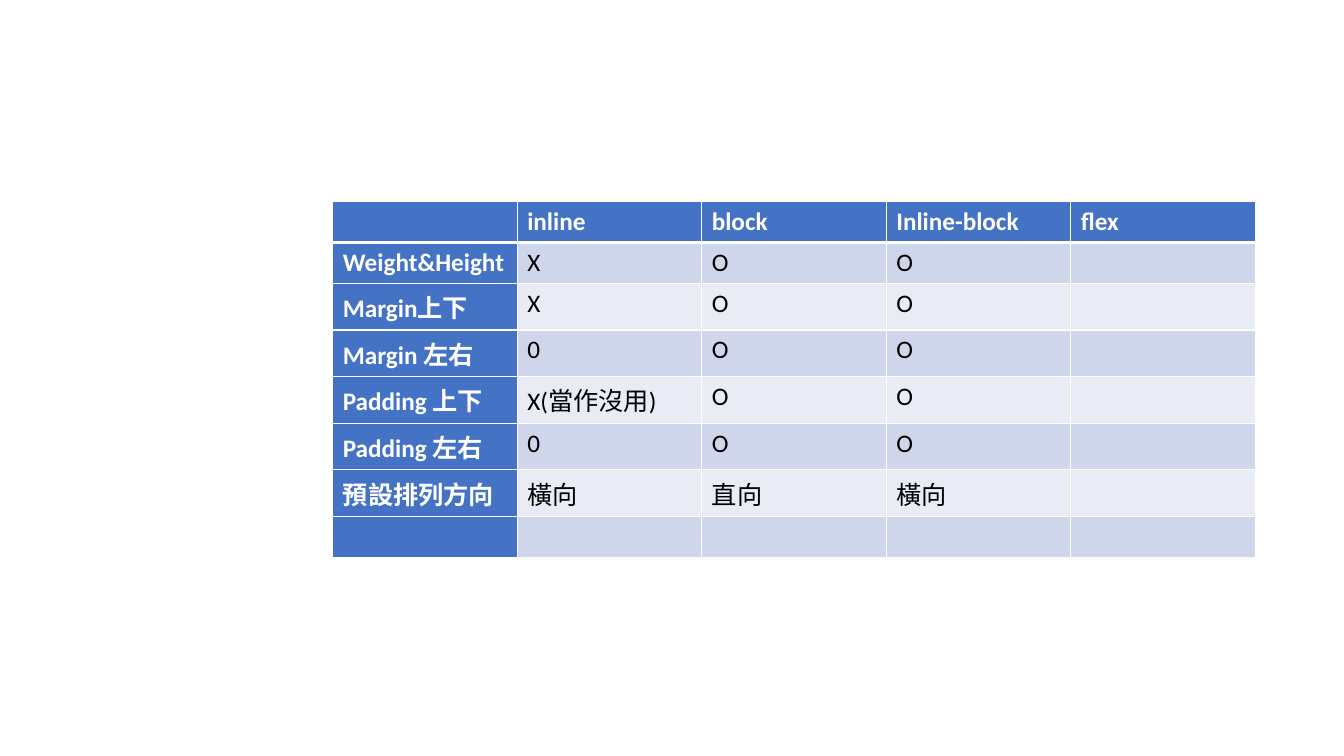
"""Build a slide with a table comparing CSS display modes."""
import pptx
import pptx.dml.color
import pptx.oxml
import pptx.oxml.ns
import pptx.util

DISPLAY_MODES = [
    ("", "inline", "block", "Inline-block", "flex"),
    ("Weight&Height", "X", "O", "O", ""),
    ("Margin上下", "X", "O", "O", ""),
    ("Margin 左右", "0", "O", "O", ""),
    ("Padding 上下", "X(當作沒用)", "O", "O", ""),
    ("Padding 左右", "0", "O", "O", ""),
    ("預設排列方向", "橫向", "直向", "橫向", ""),
    ("", "", "", "", ""),
]
COLORS = {"heading": "4472C4", "odd": "CFD5EA", "even": "E9EBF5",
          "light": "FFFFFF", "dark": "000000"}
SLIDE_SIZE = (13.33, 7.5)
TABLE_BOX = (3.3, 2, 9.15, 3.24)
THIN, THICK = 1, 3


def write(cell, text, size=18, font="Calibri", color="dark", bold=False):
    paragraph = cell.text_frame.paragraphs[0]
    paragraph.font.size = pptx.util.Pt(size)
    if text:
        run = paragraph.add_run()
        run.text = text
        run.font.size = pptx.util.Pt(size)
        run.font.name = font
        run.font.bold = bold
        run.font.color.rgb = pptx.dml.color.RGBColor.from_string(COLORS[color])


def paint(cell, fill, top, bottom):
    cell.fill.solid()
    cell.fill.fore_color.rgb = pptx.dml.color.RGBColor.from_string(COLORS[fill])
    properties = cell._tc.get_or_add_tcPr()
    edges = {"L": THIN, "R": THIN, "T": top, "B": bottom}
    for position, (side, width) in enumerate(edges.items()):
        properties.insert(position, pptx.oxml.parse_xml(
            f'<a:ln{side} {pptx.oxml.ns.nsdecls("a")} w="{pptx.util.Pt(width)}">'
            f'<a:solidFill><a:srgbClr val="{COLORS["light"]}"/></a:solidFill>'
            f'</a:ln{side}>'))


def main():
    deck = pptx.Presentation()
    deck.slide_width, deck.slide_height = map(pptx.util.Inches, SLIDE_SIZE)
    slide = deck.slides.add_slide(deck.slide_layouts.get_by_name("Blank"))
    row_count, column_count = len(DISPLAY_MODES), len(DISPLAY_MODES[0])
    comparison = slide.shapes.add_table(
        row_count, column_count, *map(pptx.util.Inches, TABLE_BOX)).table
    comparison.first_col = True
    for row, values in enumerate(DISPLAY_MODES):
        for column, value in enumerate(values):
            cell = comparison.cell(row, column)
            heading = row == 0 or column == 0
            band = "odd" if row % 2 else "even"
            write(cell, value, color="light" if heading else "dark", bold=heading)
            paint(cell, "heading" if heading else band,
                  top=THICK if row == 1 else THIN,
                  bottom=THICK if row == 0 else THIN)
    deck.save("out.pptx")


if __name__ == "__main__":
    main()
